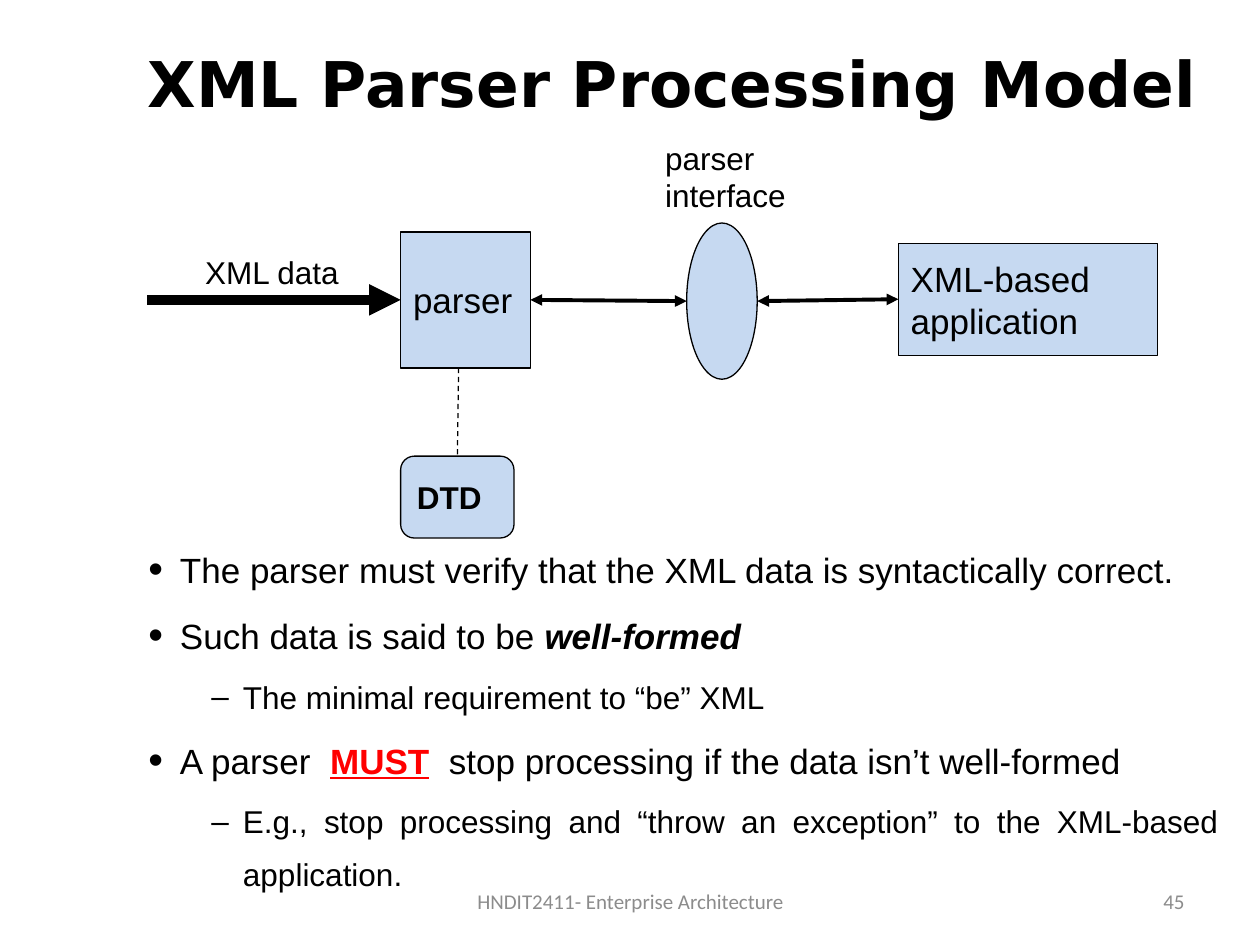
from dataclasses import dataclass

from lxml import etree
from pptx import Presentation
from pptx import util as u
from pptx.dml.color import RGBColor
from pptx.enum import dml, shapes, text
from pptx.oxml import ns

Inches, Pt = u.Inches, u.Pt


@dataclass(frozen=True)
class Theme:
    ink: str = "000000"
    fill: str = "C6D9F1"
    alert: str = "FF0000"
    gray: str = "8C8C8C"
    head: str = "DejaVu Sans"
    body: str = "Arial"
    foot: str = "Calibri"
    title: int = 36
    large: int = 20
    small: int = 18
    note: int = 12


T = Theme()
LEFT, MID, RIGHT = text.PP_ALIGN.LEFT, text.PP_ALIGN.CENTER, text.PP_ALIGN.RIGHT


def style(run, size, face=T.body, color=T.ink, bold=False):
    font = run.font
    font.size, font.name, font.bold = Pt(size), face, bold
    font.color.rgb = RGBColor.from_string(color)


def write(shape, words, size, face=T.body, color=T.ink, bold=False,
          align=LEFT, anchor=text.MSO_ANCHOR.MIDDLE, wrap=True):
    frame = shape.text_frame
    frame.word_wrap, frame.vertical_anchor = wrap, anchor
    frame.text = words
    for par in frame.paragraphs:
        par.alignment = align
        for run in par.runs:
            style(run, size, face, color, bold)


def label(slide, box, words, size, **look):
    shape = slide.shapes.add_textbox(*map(Inches, box))
    write(shape, words, size, **look)


def node(slide, kind, box, words="", size=T.large, bold=False):
    shape = slide.shapes.add_shape(kind, *map(Inches, box))
    shape.shadow.inherit = False
    shape.fill.solid()
    shape.fill.fore_color.rgb = RGBColor.from_string(T.fill)
    shape.line.color.rgb = RGBColor.from_string(T.ink)
    shape.line.width = Pt(0.75)
    if words:
        write(shape, words, size, bold=bold)
    return shape


def link(slide, start, end, width, tips=(), dash=False):
    line = slide.shapes.add_connector(
        shapes.MSO_CONNECTOR.STRAIGHT, *map(Inches, start + end))
    line.line.color.rgb = RGBColor.from_string(T.ink)
    line.line.width = Pt(width)
    if dash:
        line.line.dash_style = dml.MSO_LINE.DASH
    ln = line.line._get_or_add_ln()
    for tip in tips:
        etree.SubElement(ln, ns.qn("a:" + tip), type="triangle")
    etree.SubElement(line._element.spPr, ns.qn("a:effectLst"))
    return line


def diagram(slide, x, y):
    """Parser flow, with x, y as its top left corner."""
    kind = shapes.MSO_SHAPE
    axis = y + 1.33
    both = ("headEnd", "tailEnd")

    # Nodes
    parser = node(slide, kind.RECTANGLE, (x + 2.01, y + 0.79, 1.03, 1.08), "parser")
    node(slide, kind.OVAL, (x + 4.28, y + 0.72, 0.56, 1.24))
    app = node(slide, kind.RECTANGLE, (x + 5.96, y + 0.88, 2.06, 0.89),
               "XML-based\napplication")
    dtd = node(slide, kind.ROUNDED_RECTANGLE, (x + 2.01, y + 2.57, 0.9, 0.65),
               "DTD", T.small, True)

    # Labels
    label(slide, (x + 0.36, y + 0.91, 1.27, 0.4), "XML data", T.small, wrap=False)
    label(slide, (x + 4.01, y, 1.16, 0.7), "parser\ninterface", T.small, wrap=False)

    # Links
    feed = link(slide, (x, axis), (x + 2.01, axis), 6, ("tailEnd",))
    feed.end_connect(parser, 1)
    call = link(slide, (x + 4.28, axis + 0.01), (x + 3.04, axis), 2.25, both)
    call.end_connect(parser, 3)
    reply = link(slide, (x + 5.96, axis), (x + 4.84, axis + 0.01), 2.25, both)
    reply.begin_connect(app, 1)
    rule = link(slide, (x + 2.47, y + 1.87), (x + 2.46, y + 2.57), 0.75, dash=True)
    rule.end_connect(dtd, 0)


def bullet(par, level):
    par.level = level
    par.alignment = text.PP_ALIGN.JUSTIFY
    par.line_spacing = 1.4
    par.space_before = Pt((T.small if level else T.large) * 0.2)
    props = par._p.get_or_add_pPr()
    props.set("marL", str(Inches(0.75 if level else 0.25)))
    props.set("indent", str(Inches(-0.25)))
    if not level:
        etree.SubElement(props, ns.qn("a:buSzPct"), val="120000")
    etree.SubElement(props, ns.qn("a:buFont"), typeface=T.body)
    etree.SubElement(props, ns.qn("a:buChar"), char="–" if level else "•")


def points(slide, box):
    items = [
        (0, ["The parser must verify that the XML data is syntactically correct."]),
        (0, ["Such data is said to be ", "well-formed"]),
        (1, ["The minimal requirement to “be” XML"]),
        (0, ["A parser  ", "MUST", "  stop processing if the data isn’t well-formed"]),
        (1, ["E.g., stop processing and “throw an exception” to the "
             "XML-based application."]),
    ]
    frame = slide.shapes.add_textbox(*map(Inches, box)).text_frame
    frame.word_wrap = True
    for i, (level, parts) in enumerate(items):
        par = frame.add_paragraph() if i else frame.paragraphs[0]
        bullet(par, level)
        for part in parts:
            run = par.add_run()
            run.text = part
            style(run, T.small if level else T.large)
            if part == "well-formed":
                run.font.bold = run.font.italic = True
            elif part == "MUST":
                style(run, T.large, color=T.alert, bold=True)
                run.font.underline = True


def footer(slide, y):
    look = dict(face=T.foot, color=T.gray)
    label(slide, (3.42, y, 3.17, 0.4), "HNDIT2411- Enterprise Architecture",
          T.note, align=MID, **look)
    label(slide, (7.17, y, 2.33, 0.4), "45", T.note, align=RIGHT, **look)


def main():
    deck = Presentation()
    deck.slide_width, deck.slide_height = Inches(10), Inches(7.5)
    slide = deck.slides.add_slide(deck.slide_layouts[6])
    label(slide, (0.67, 0.3, 9.33, 1.25), "XML Parser Processing Model", T.title,
          face=T.head, bold=True, align=MID, anchor=text.MSO_ANCHOR.TOP)
    points(slide, (1.08, 4.17, 8.69, 3.17))
    diagram(slide, 1.17, 1.05)
    footer(slide, 6.95)
    deck.save("out.pptx")


if __name__ == "__main__":
    main()
